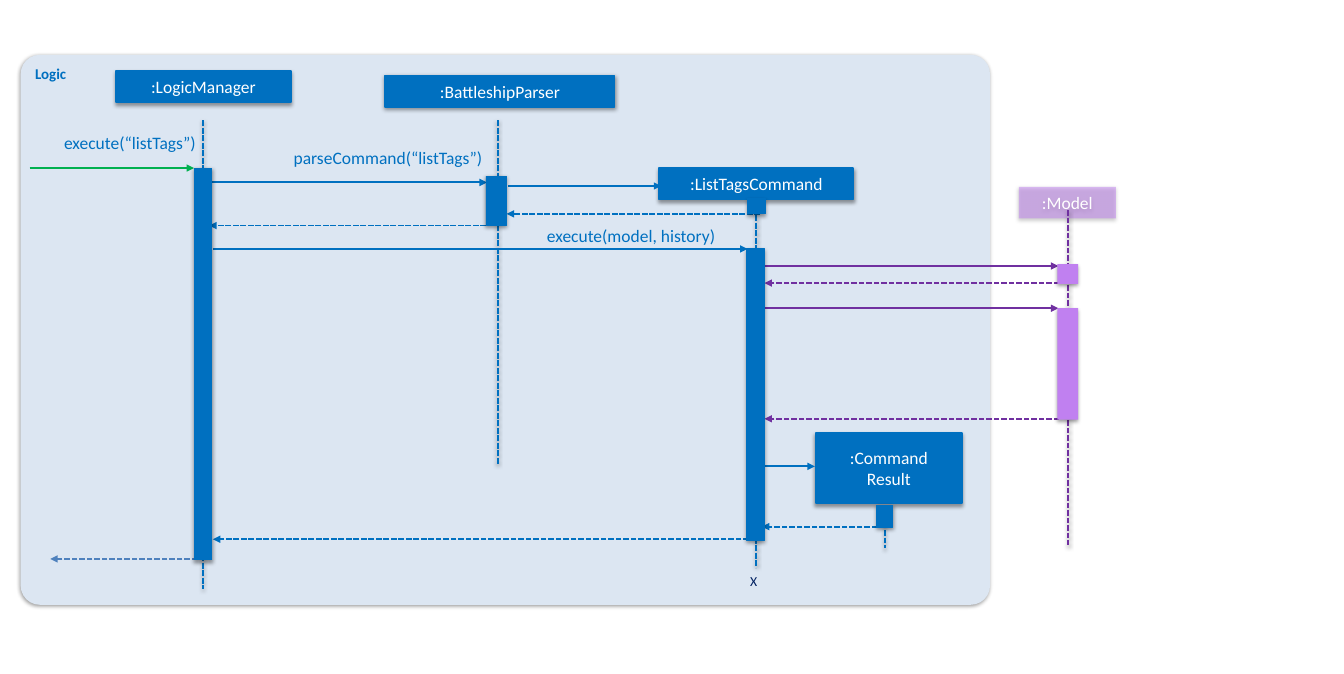
from lxml import etree
from pptx import Presentation
from pptx.dml.color import RGBColor
from pptx.enum.dml import MSO_LINE
from pptx.enum.shapes import MSO_CONNECTOR, MSO_SHAPE
from pptx.enum.text import MSO_ANCHOR, PP_ALIGN
from pptx.oxml import parse_xml
from pptx.oxml.ns import qn
from pptx.util import Inches, Pt

RECT, ROUNDED = MSO_SHAPE.RECTANGLE, MSO_SHAPE.ROUNDED_RECTANGLE
STRAIGHT = MSO_CONNECTOR.STRAIGHT
DASH = MSO_LINE.SQUARE_DOT
LEFT, CENTER, RIGHT = PP_ALIGN.LEFT, PP_ALIGN.CENTER, PP_ALIGN.RIGHT
TOP, MIDDLE = MSO_ANCHOR.TOP, MSO_ANCHOR.MIDDLE

BLUE = RGBColor(0x00, 0x70, 0xC0)
STEEL = RGBColor(0x4F, 0x81, 0xBD)
NAVY = RGBColor(0x00, 0x20, 0x60)
PALE_BLUE = RGBColor(0xDC, 0xE6, 0xF2)
GREEN = RGBColor(0x00, 0xB0, 0x50)
PURPLE = RGBColor(0x70, 0x30, 0xA0)
LILAC = RGBColor(0xC0, 0x80, 0xF0)
WHITE = RGBColor(0xFF, 0xFF, 0xFF)

FONT = "Calibri"
LINE_WIDTH = 1.5
SHADOW_XML = (
    '<a:effectLst xmlns:a="http://schemas.openxmlformats.org/drawingml/2006/main">'
    '<a:outerShdw blurRad="40000" dist="20000" dir="5400000" rotWithShape="0">'
    '<a:srgbClr val="000000"><a:alpha val="38000"/></a:srgbClr>'
    '</a:outerShdw></a:effectLst>'
)

LOGIC_FRAME = (0.23, 0.61, 10.79, 6.12)

# text, (left, top, width, height), fill, outline, opacity in percent
PARTICIPANTS = [
    (":LogicManager", (1.29, 0.79, 1.95, 0.35), BLUE, BLUE, 100),
    (":BattleshipParser", (4.29, 0.84, 2.55, 0.35), BLUE, BLUE, 100),
    (":ListTagsCommand", (7.34, 1.87, 2.16, 0.35), BLUE, BLUE, 100),
    (":Command\nResult", (9.08, 4.82, 1.63, 0.78), BLUE, BLUE, 100),
    (":Model", (11.34, 2.08, 1.08, 0.35), LILAC, None, 50),
]

# centre x, top, bottom, colour
LIFELINES = [
    (2.26, 1.34, 6.55, BLUE),
    (5.54, 1.34, 5.16, BLUE),
    (8.42, 2.23, 6.32, BLUE),
    (9.85, 5.65, 6.1, BLUE),
    (11.89, 2.34, 6.07, PURPLE),
]

# y, from x, to x, colour
CALLS = [
    (1.87, 0.33, 2.16, GREEN),
    (2.03, 2.34, 5.42, BLUE),
    (2.07, 5.66, 7.36, BLUE),
    (2.77, 2.37, 8.32, BLUE),
    (2.96, 8.41, 11.78, PURPLE),
    (3.43, 8.41, 11.78, PURPLE),
    (5.19, 8.4, 9.07, BLUE),
]
RETURNS = [
    (2.38, 8.46, 5.64, BLUE),
    (2.51, 5.41, 2.33, BLUE),
    (3.15, 11.79, 8.51, PURPLE),
    (4.66, 11.79, 8.51, PURPLE),
    (5.86, 9.85, 8.48, BLUE),
    (6.0, 8.42, 2.37, BLUE),
    (6.22, 2.28, 0.56, STEEL),
]

# (left, top, width, height), fill, outline
ACTIVATIONS = [
    ((5.41, 1.96, 0.23, 0.55), BLUE, BLUE),
    ((8.32, 2.21, 0.2, 0.17), BLUE, BLUE),
    ((9.76, 5.62, 0.18, 0.25), BLUE, BLUE),
    ((11.77, 2.94, 0.23, 0.22), LILAC, None),
    ((11.77, 3.43, 0.23, 1.24), LILAC, None),
    ((8.31, 2.77, 0.2, 3.24), BLUE, BLUE),
    ((2.16, 1.87, 0.2, 4.36), BLUE, BLUE),
]

# text, (left, top, width, height), alignment, size, colour, (side inset, top inset)
LABELS = [
    ("execute(“listTags”)", (0.23, 1.47, 1.95, 0.23), RIGHT, 14, BLUE, (0, 0)),
    ("parseCommand(“listTags”)", (2.58, 1.64, 2.79, 0.23), RIGHT, 14, BLUE, (0, 0)),
    ("execute(model, history)", (5.63, 2.51, 2.79, 0.23), CENTER, 14, BLUE, (0, 0)),
    ("X", (8.25, 6.32, 0.35, 0.28), LEFT, 11, NAVY, (0.1, 0.05)),
]


def add_shadow(shape):
    properties = shape._element.spPr
    for effects in properties.findall(qn("a:effectLst")):
        properties.remove(effects)
    properties.append(parse_xml(SHADOW_XML))


def add_block(slide, place, fill, outline=None, width=LINE_WIDTH, kind=RECT):
    block = slide.shapes.add_shape(kind, *map(Inches, place))
    block.fill.solid()
    block.fill.fore_color.rgb = fill
    if outline is None:
        block.line.fill.background()
    else:
        block.line.color.rgb = outline
        block.line.width = Pt(width)
    add_shadow(block)
    return block


def write(shape, text, size, color, align, anchor, bold=False, insets=(0.1, 0.05)):
    frame = shape.text_frame
    frame.word_wrap = True
    frame.vertical_anchor = anchor
    frame.margin_left = frame.margin_right = Inches(insets[0])
    frame.margin_top = frame.margin_bottom = Inches(insets[1])
    frame.text = text
    for para in frame.paragraphs:
        para.alignment = align
        for span in para.runs:
            span.font.name = FONT
            span.font.size = Pt(size)
            span.font.bold = bold
            span.font.color.rgb = color


def add_line(slide, start, end, color, dashed):
    line = slide.shapes.add_connector(STRAIGHT, *map(Inches, start + end))
    line.line.color.rgb = color
    line.line.width = Pt(LINE_WIDTH)
    if dashed:
        line.line.dash_style = DASH
    return line


def add_message(slide, y, start_x, end_x, color, dashed):
    message = add_line(slide, (start_x, y), (end_x, y), color, dashed)
    etree.SubElement(message.line._get_or_add_ln(), qn("a:tailEnd"), type="triangle")
    etree.SubElement(message._element.spPr, qn("a:effectLst"))


def set_opacity(shape, percent):
    color = shape._element.spPr.find(qn("a:solidFill"))[0]
    etree.SubElement(color, qn("a:alpha"), val=str(percent * 1000))


def main():
    deck = Presentation()
    deck.slide_width, deck.slide_height = Inches(14.96), Inches(7.5)
    page = deck.slides.add_slide(deck.slide_layouts[6])

    logic = add_block(page, LOGIC_FRAME, PALE_BLUE, kind=ROUNDED)
    logic.adjustments[0] = 0.035
    write(logic, "Logic", 12, BLUE, LEFT, TOP, bold=True)

    for text, place, fill, outline, opacity in PARTICIPANTS:
        participant = add_block(page, place, fill, outline)
        write(participant, text, 14, WHITE, CENTER, MIDDLE)
        if opacity < 100:
            set_opacity(participant, opacity)

    for x, top, bottom, color in LIFELINES:
        add_shadow(add_line(page, (x, top), (x, bottom), color, dashed=True))

    for messages, dashed in ((CALLS, False), (RETURNS, True)):
        for message in messages:
            add_message(page, *message, dashed)

    for place, fill, outline in ACTIVATIONS:
        add_block(page, place, fill, outline, width=0.75)

    for text, place, align, size, color, insets in LABELS:
        label = page.shapes.add_textbox(*map(Inches, place))
        write(label, text, size, color, align, TOP, insets=insets)

    deck.save("out.pptx")


if __name__ == "__main__":
    main()
